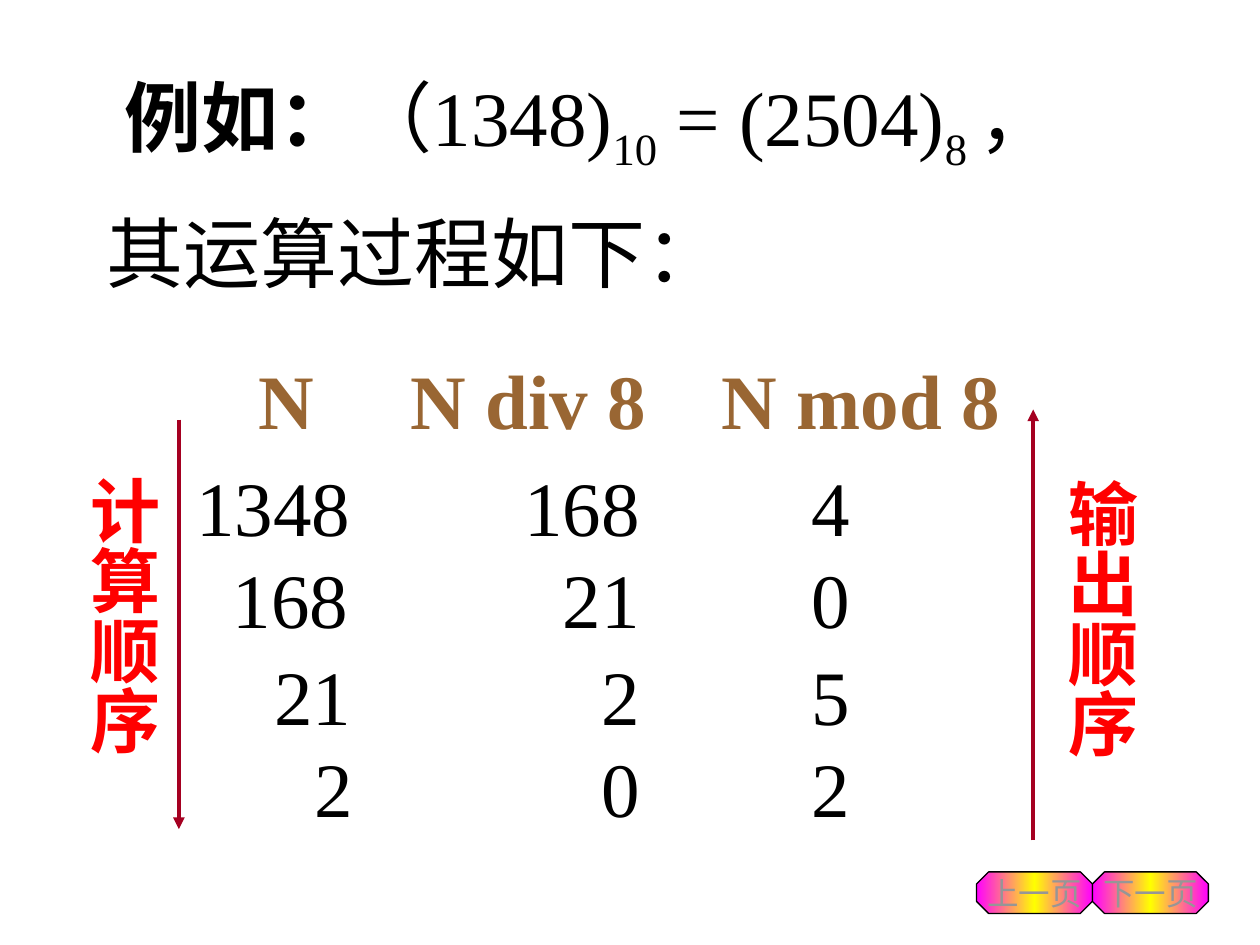
from copy import deepcopy

from lxml import etree
from pptx import Presentation
from pptx.dml.color import RGBColor
from pptx.enum import shapes, text
from pptx.oxml.ns import qn
from pptx.util import Inches, Pt

COLORS = {"text": "000000", "header": "996633", "label": "FF0000", "arrow": "A50021",
          "button_edge": "FF00FF", "button_middle": "FFFF00", "button_text": "969696"}
FONT = "Times New Roman"


def format_font(font, size, color, bold=False):
    font.name = FONT
    font.size = Pt(size)
    font.bold = bold
    font.color.rgb = RGBColor.from_string(COLORS[color])


def add_line(box, pieces, size=44, color="text", bold=False, tabs=()):
    """Add a one-line text box; tabs are (slide x, alignment) pairs."""
    left, top, width, height = box
    shape = slide.shapes.add_textbox(*(Inches(value) for value in box))
    frame = shape.text_frame
    frame.word_wrap = bool(tabs)
    frame.auto_size = text.MSO_AUTO_SIZE.SHAPE_TO_FIT_TEXT
    paragraph = frame.paragraphs[0]
    if tabs:
        tab_list = etree.SubElement(paragraph._p.get_or_add_pPr(), qn("a:tabLst"))
        for x, alignment in tabs:
            etree.SubElement(tab_list, qn("a:tab"), pos=str(Inches(x - left - 0.1)), algn=alignment)
    for piece in pieces:
        run = paragraph.add_run()
        run.text = piece
        format_font(run.font, size, color, bold)
    return shape


presentation = Presentation()
presentation.slide_width = Inches(10)
presentation.slide_height = Inches(7.5)
slide = presentation.slides.add_slide(presentation.slide_layouts[6])

# Navigation buttons
for left, label in ((7.75, "上一页"), (8.67, "下一页")):
    button = slide.shapes.add_shape(shapes.MSO_SHAPE.OCTAGON, Inches(left), Inches(6.92),
                                    Inches(0.92), Inches(0.33))
    button.adjustments[0] = 0.29
    button.shadow.inherit = False
    button.fill.gradient()
    button.fill.gradient_angle = 0
    stop_list = button._element.spPr.find(".//" + qn("a:gsLst"))
    stop_list.append(deepcopy(stop_list[0]))
    stops = zip(button.fill.gradient_stops, (0, 0.5, 1),
                ("button_edge", "button_middle", "button_edge"))
    for stop, position, color in stops:
        stop.position = position
        stop.color.rgb = RGBColor.from_string(COLORS[color])
    button.line.color.rgb = RGBColor.from_string(COLORS["text"])
    button.line.width = Pt(0.75)
    frame = button.text_frame
    frame.text = label
    frame.word_wrap = False
    frame.vertical_anchor = text.MSO_ANCHOR.MIDDLE
    frame.paragraphs[0].alignment = text.PP_ALIGN.CENTER
    format_font(frame.paragraphs[0].runs[0].font, 18, "button_text")

# Example and introduction
example = add_line((0.89, 0.5, 7.94, 0.94),
                   ("例如：", "（1348)", "10", " = (2504)", "8 ", "，"))
runs = example.text_frame.paragraphs[0].runs
runs[0].font.bold = True
for subscript in (runs[2], runs[4]):
    subscript.font._element.set("baseline", "-25000")
add_line((0.75, 1.58, 5.09, 0.84), ("其运算过程如下：",))

# Division steps
add_line((1.95, 2.75, 6.2, 0.84), ("N\tN div 8\tN mod 8",), color="header", bold=True,
         tabs=((3.26, "l"), (5.73, "l")))
number = 1348
for left, top in ((1.46, 3.6), (1.75, 4.33), (2.08, 5.1), (2.4, 5.83)):
    quotient, remainder = divmod(number, 8)
    add_line((left, top, 6.9 - left, 0.84), (f"{number}\t{quotient}\t{remainder}",),
             tabs=((5.08, "r"), (6.44, "l")))
    number = quotient

# Order arrows
for x, start, end in ((1.42, 3.33, 6.58), (8.2, 6.67, 3.25)):
    arrow = slide.shapes.add_connector(shapes.MSO_CONNECTOR.STRAIGHT, Inches(x), Inches(start),
                                       Inches(x), Inches(end))
    arrow.line.color.rgb = RGBColor.from_string(COLORS["arrow"])
    arrow.line.width = Pt(2.25)
    properties = arrow._element.spPr
    etree.SubElement(properties.find(qn("a:ln")), qn("a:tailEnd"), type="triangle")
    etree.SubElement(properties, qn("a:effectLst"))

# Vertical labels
for left, top, label in ((0.5, 3.68, "计算顺序"), (8.26, 3.7, "输出顺序")):
    shape = add_line((left, top, 0.86, 2.32), (label,), size=40, color="label", bold=True)
    frame = shape.text_frame
    frame._txBody.bodyPr.set("vert", "eaVert")
    frame.margin_left = frame.margin_right = Inches(0.05)
    frame.margin_top = frame.margin_bottom = Inches(0.1)

presentation.save("out.pptx")
